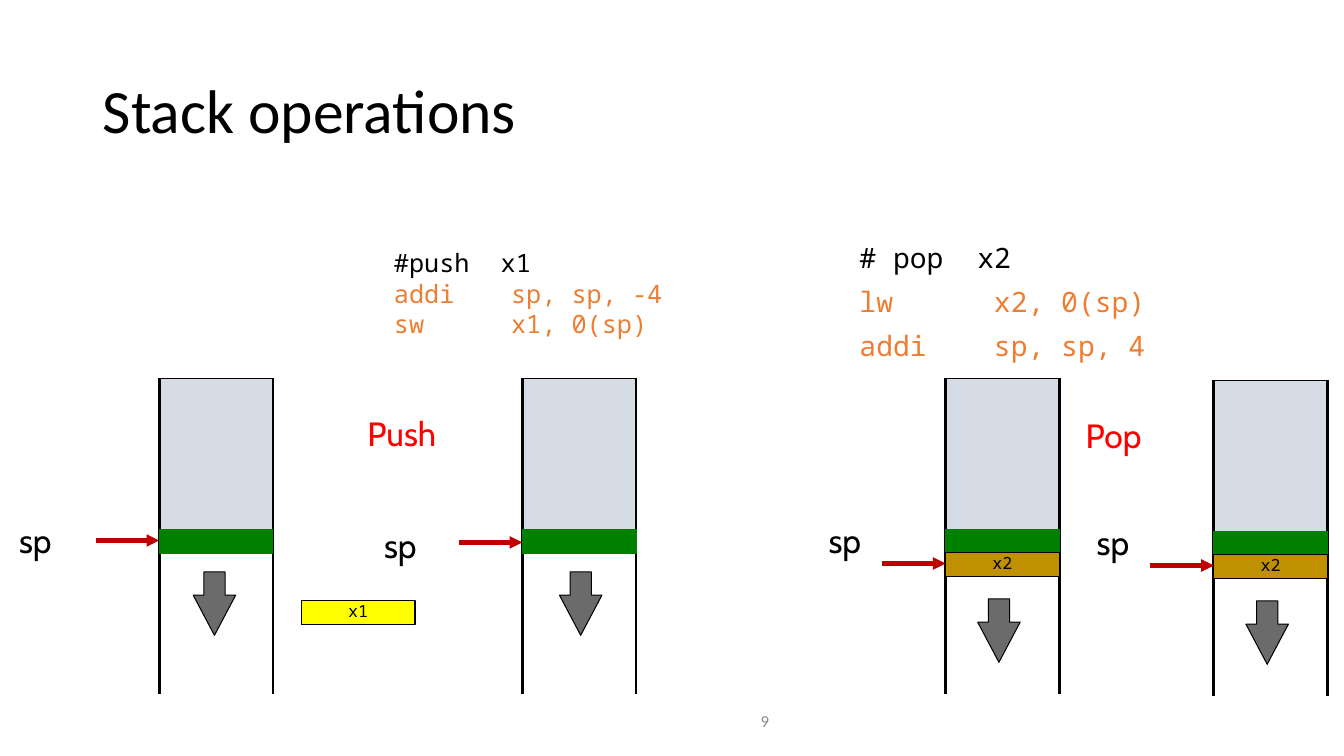
from lxml import etree
from pptx import Presentation
from pptx import util as u
from pptx.dml.color import RGBColor
from pptx.enum import shapes, text
from pptx.oxml.ns import qn

BLACK, RED, ORANGE = "000000", "FF0000", "ED7D31"
MONO, LABEL, PLAIN = "Noto Sans Mono", "Cabin", "Calibri"
STACK_WIDTH, STACK_HEIGHT, USED_HEIGHT, CELL_HEIGHT = 2.87, 7.95, 3.81, 0.61


def colour(value):
    """Turn a hex string into a colour."""
    return RGBColor.from_string(value)


def style_para(para, size, font, ink, align=text.PP_ALIGN.LEFT):
    """Format a paragraph and all its runs."""
    para.alignment = align
    for span in para.runs:
        span.font.size = u.Pt(size)
        span.font.name = font
        span.font.color.rgb = colour(ink)


def add_label(page, words, box, size, font, ink=BLACK,
              align=text.PP_ALIGN.LEFT, anchor=text.MSO_ANCHOR.TOP):
    """Place one line of text in a box."""
    label = page.shapes.add_textbox(*map(u.Cm, box))
    frame = label.text_frame
    frame.word_wrap = True
    frame.vertical_anchor = anchor
    frame.text = words
    style_para(frame.paragraphs[0], size, font, ink, align)
    return label


def add_block(page, kind, box, fill, line=BLACK):
    """Draw a filled and outlined preset shape."""
    block = page.shapes.add_shape(kind, *map(u.Cm, box))
    block.shadow.inherit = False
    block.fill.solid()
    block.fill.fore_color.rgb = colour(fill)
    block.line.color.rgb = colour(line)
    block.line.width = u.Pt(0.75)
    return block


def add_line(page, ends, ink, width, arrow=False):
    """Draw a straight line, with an arrowhead at its end if asked."""
    line = page.shapes.add_connector(shapes.MSO_CONNECTOR.STRAIGHT, *map(u.Cm, ends))
    line.line.color.rgb = colour(ink)
    line.line.width = u.Pt(width)
    if arrow:
        outline = line.line._get_or_add_ln()
        etree.SubElement(outline, qn("a:tailEnd"), type="triangle")
    etree.SubElement(line._element.spPr, qn("a:effectLst"))


def add_cell(page, left, top, name, fill):
    """Draw a stack cell that holds a register."""
    cell = add_block(page, shapes.MSO_SHAPE.RECTANGLE,
                     (left, top, STACK_WIDTH, CELL_HEIGHT), fill)
    frame = cell.text_frame
    frame.margin_top = 0
    frame.word_wrap = False
    frame.vertical_anchor = text.MSO_ANCHOR.TOP
    frame.text = name
    style_para(frame.paragraphs[0], 12, MONO, BLACK, text.PP_ALIGN.CENTER)


def add_stack(page, left, top, label, pointer, growth, register=None):
    """Draw a stack with its pointer, growth arrow and optional register cell."""
    right = left + STACK_WIDTH
    rectangle = shapes.MSO_SHAPE.RECTANGLE
    add_block(page, rectangle, (left, top, STACK_WIDTH, USED_HEIGHT), "D6DCE5")
    for side in (left, right):
        add_line(page, (side, top, side, top + STACK_HEIGHT), BLACK, 2)
    add_block(page, rectangle, (left, top + USED_HEIGHT, STACK_WIDTH, CELL_HEIGHT),
              "008000", "008000")
    add_label(page, "sp", (left + label[0], top + label[1], 2.21, 1.27), 24, LABEL)
    add_line(page, (left - 1.6, top + pointer, left, top + pointer), "C00000", 3, True)
    arrow = add_block(page, shapes.MSO_SHAPE.DOWN_ARROW,
                      (left + growth[0], top + growth[1], 1.07, 1.6), "6B6B6B")
    arrow.adjustments[0], arrow.adjustments[1] = 0.5, 0.944
    if register:
        add_cell(page, left, top + 4.4, register, "BF9000")


def add_code(page, box, lines, size, spacing=1.0, before=0):
    """Write code lines whose operands start at a tab stop."""
    frame = page.shapes.add_textbox(*map(u.Cm, box)).text_frame
    frame.word_wrap = True
    frame.text = "\n".join(words for words, _, _ in lines)
    for para, (_, stop, ink) in zip(frame.paragraphs, lines):
        style_para(para, size, MONO, ink)
        para.line_spacing = spacing
        para.space_before = u.Pt(before)
        tabs = etree.SubElement(para._p.get_or_add_pPr(), qn("a:tabLst"))
        etree.SubElement(tabs, qn("a:tab"), pos=str(u.Cm(stop)), algn="l")


def add_push(page, left, top):
    """Show the push operation: code, both stacks and the pushed register."""
    add_code(page, (left + 5.67, top - 3.41, 10.8, 2.57), [
        ("#push\tx1", 2.69, BLACK),
        ("addi\tsp, sp, -4", 2.95, ORANGE),
        ("sw\tx1, 0(sp)", 2.95, ORANGE)], 18)
    add_stack(page, left, top, (-3.78, 3.45), 4.09, (0.86, 4.88))
    add_stack(page, left + 9.15, top, (-3.73, 3.58), 4.14, (0.94, 4.88))
    add_label(page, "Push", (left + 5, top + 0.74, 2.54, 1.27), 24, LABEL, RED)
    add_cell(page, left + 3.58, top + 5.61, "x1", "FFFF00")


def add_pop(page, left, top):
    """Show the pop operation: code and both stacks."""
    add_code(page, (left - 2.42, top - 3.51, 7.82, 3.71), [
        ("# pop\tx2", 2.97, BLACK),
        ("lw\tx2, 0(sp)", 3.39, ORANGE),
        ("addi\tsp, sp, 4", 3.39, ORANGE)], 20, 0.9, 10)
    for across, down in ((0, 0), (6.76, 0.05)):
        add_stack(page, left + across, top + down, (-3.2, 3.45), 4.67, (0.81, 5.56), "x2")
    add_label(page, "Pop", (left + 3.28, top + 0.79, 2.54, 1.27), 24, LABEL, RED)


def main():
    """Build the slide and save it."""
    deck = Presentation()
    deck.slide_width, deck.slide_height = u.Cm(33.87), u.Cm(19.05)
    page = deck.slides.add_slide(deck.slide_layouts[6])
    title = add_label(page, "Stack operations", (2.34, 1.02, 29.21, 3.68), 44, PLAIN,
                      anchor=text.MSO_ANCHOR.MIDDLE)
    title.text_frame.paragraphs[0].line_spacing = 0.9
    add_push(page, 4.01, 9.53)
    add_pop(page, 23.83, 9.53)
    add_label(page, "9", (13.56, 17.65, 11.43, 1.02), 12, PLAIN, "8C8C8C",
              text.PP_ALIGN.CENTER, text.MSO_ANCHOR.MIDDLE)
    deck.save("out.pptx")


if __name__ == "__main__":
    main()
